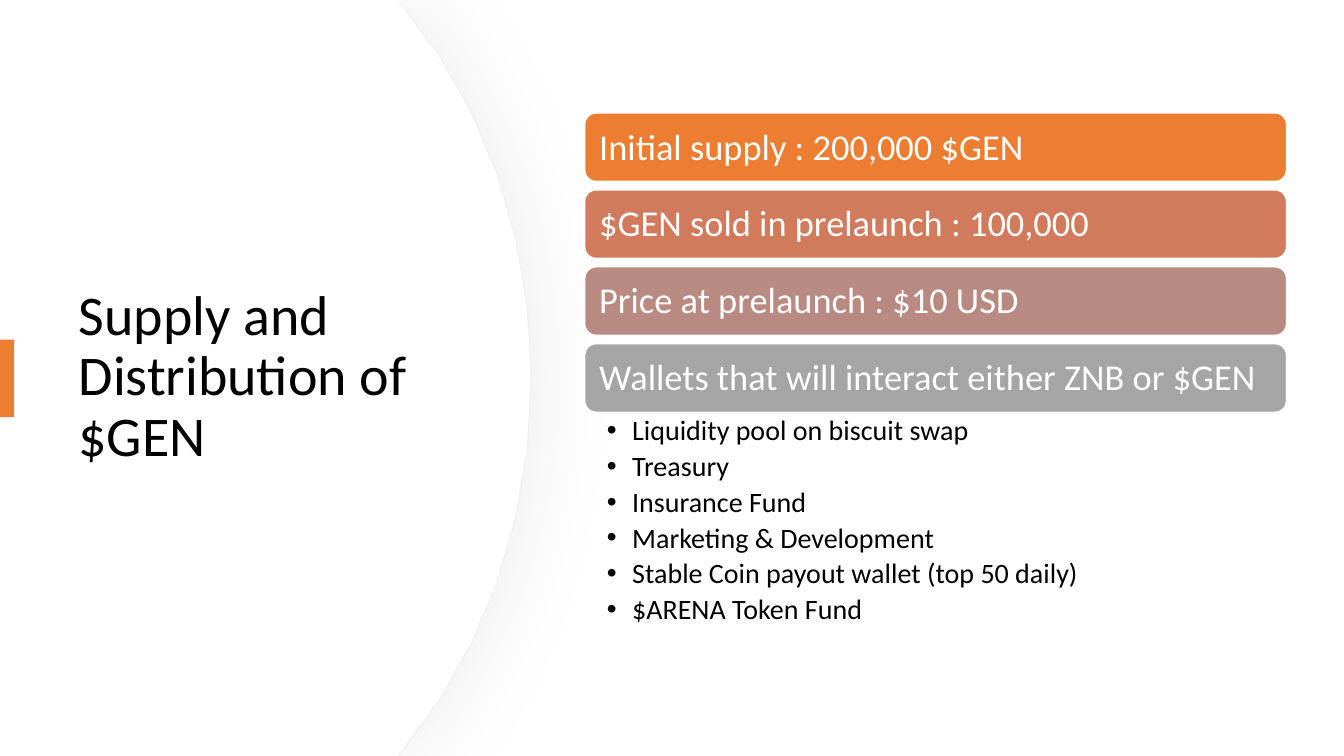
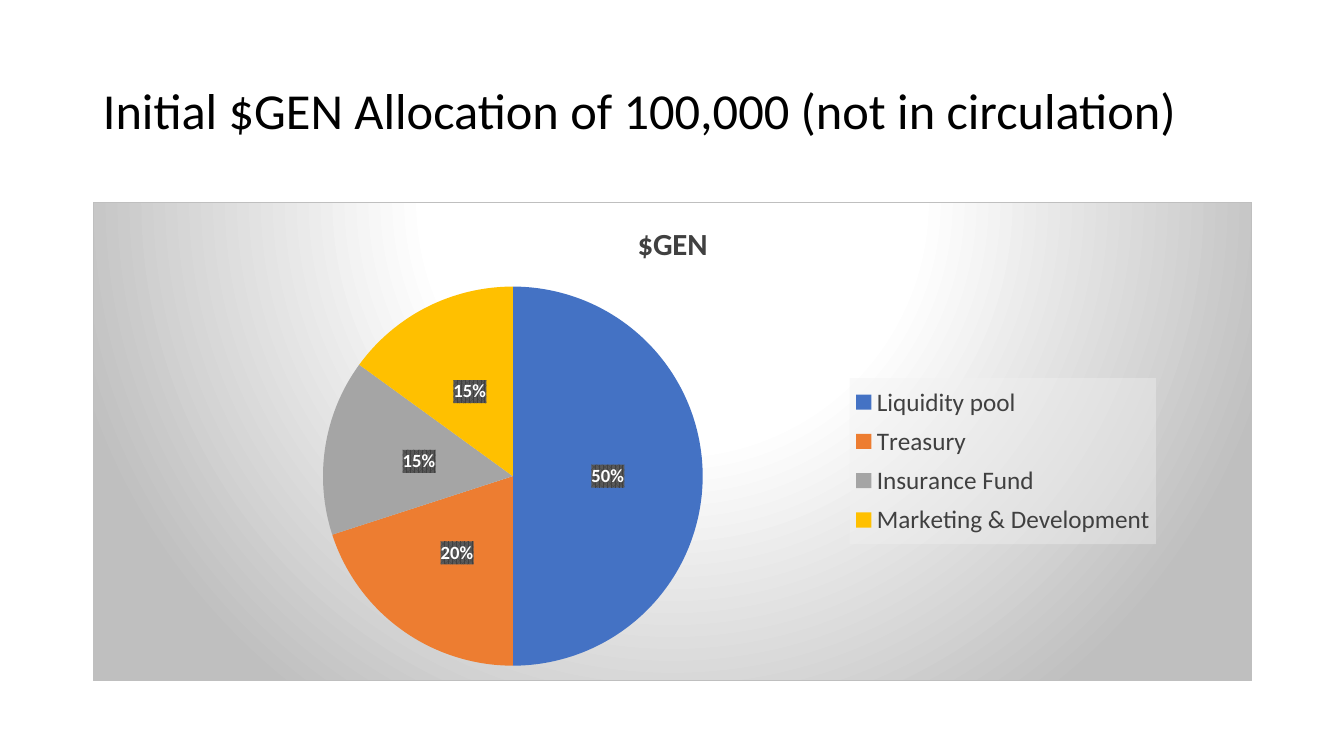
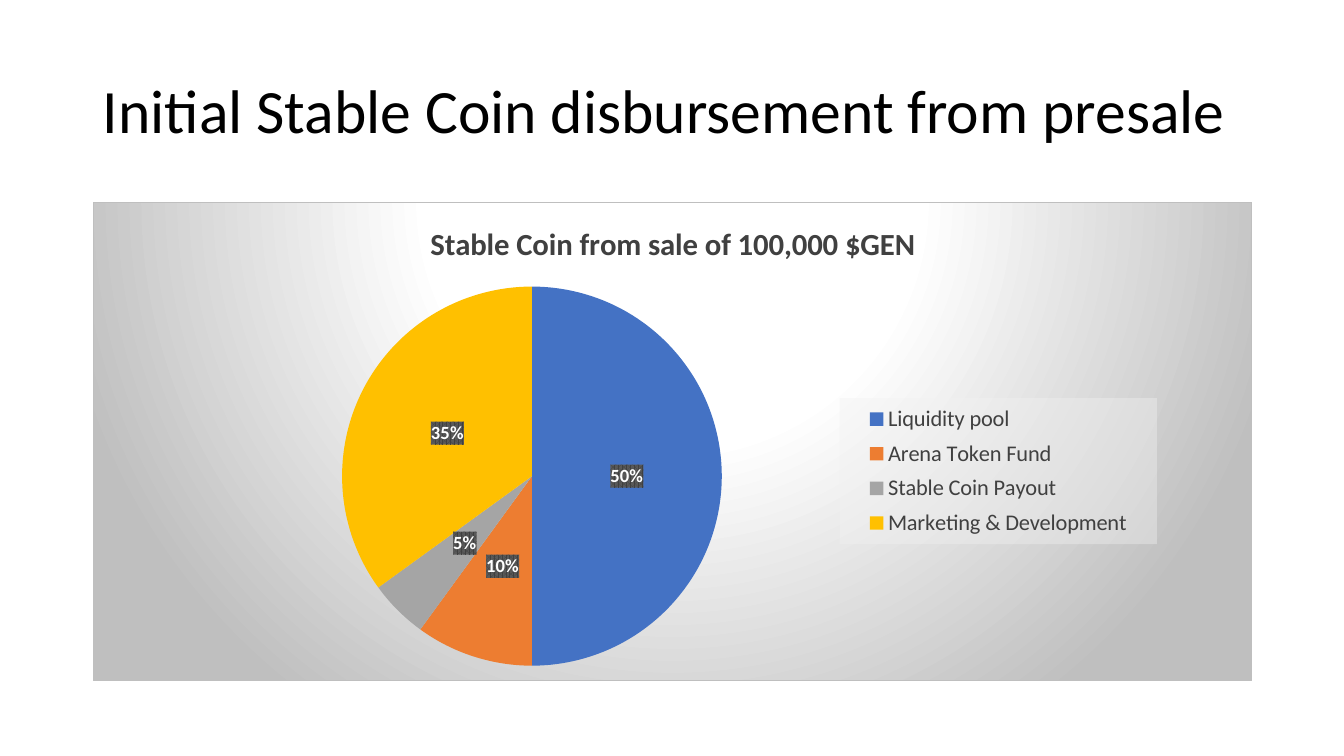
from pptx import Presentation
from pptx.chart.data import CategoryChartData
from pptx.dml.color import RGBColor
from pptx.enum.chart import XL_CHART_TYPE, XL_LABEL_POSITION, XL_LEGEND_POSITION
from pptx.enum.shapes import MSO_SHAPE
from pptx.enum.text import MSO_ANCHOR, MSO_AUTO_SIZE, PP_ALIGN
from pptx.oxml import parse_xml
from pptx.oxml.ns import nsdecls, qn
from pptx.util import Inches, Pt

FONT = "Calibri"
BLACK, WHITE, ORANGE, DARK = "000000", "FFFFFF", "ED7D31", "404040"
SLICE_COLORS = ["4472C4", ORANGE, "A5A5A5", "FFC000"]
CHART_BOX = (0.92, 2, 11.5, 4.76)
HEADING_BOX = (0.92, 0.4, 11.5, 1.45)

CHART_FILL = """<a:gradFill><a:gsLst>
<a:gs pos="0"><a:srgbClr val="FFFFFF"/></a:gs>
<a:gs pos="39000"><a:srgbClr val="FFFFFF"/></a:gs>
<a:gs pos="100000"><a:srgbClr val="BFBFBF"/></a:gs></a:gsLst>
<a:path path="circle"><a:fillToRect l="50000" t="-80000" r="50000" b="180000"/></a:path>
</a:gradFill><a:ln w="9525"><a:solidFill><a:srgbClr val="BFBFBF"/></a:solidFill></a:ln>"""
LEGEND_FILL = """<a:solidFill><a:srgbClr val="F2F2F2"><a:alpha val="39000"/></a:srgbClr>
</a:solidFill><a:ln><a:noFill/></a:ln>"""
LABEL_FILL = """<a:pattFill prst="pct75"><a:fgClr><a:srgbClr val="404040"/></a:fgClr>
<a:bgClr><a:srgbClr val="595959"/></a:bgClr></a:pattFill><a:ln><a:noFill/></a:ln>"""


def rgb(value):
    return RGBColor.from_string(value)


def apply(target, **formats):
    for name, value in formats.items():
        setattr(target, name, value)


def style_font(font, size, color, bold=False):
    apply(font, name=FONT, size=Pt(size), bold=bold)
    font.color.rgb = rgb(color)


def style_shape(shape, fill, line=None, weight=1):
    shape.shadow.inherit = False
    shape.fill.solid()
    shape.fill.fore_color.rgb = rgb(fill)
    if line:
        shape.line.color.rgb = rgb(line)
        shape.line.width = Pt(weight)
    else:
        shape.line.fill.background()


def add_titled_slide(deck, text, box, size):
    slide = deck.slides.add_slide(deck.slide_layouts[5])
    title = slide.shapes.title
    apply(title, **dict(zip(("left", "top", "width", "height"), map(Inches, box))))
    apply(title.text_frame, text=text, word_wrap=True,
          auto_size=MSO_AUTO_SIZE.NONE, vertical_anchor=MSO_ANCHOR.MIDDLE)
    heading = title.text_frame.paragraphs[0]
    apply(heading, alignment=PP_ALIGN.LEFT, line_spacing=0.9)
    style_font(heading.runs[0].font, size, BLACK)
    return slide


def bezier(start, first, second, end, steps=6):
    for step in range(steps + 1):
        t = step / steps
        weights = ((1 - t) ** 3, 3 * t * (1 - t) ** 2, 3 * t * t * (1 - t), t ** 3)
        yield tuple(sum(w * p[axis] for w, p in zip(weights, (start, first, second, end)))
                    for axis in (0, 1))


def add_curved_panel(slide, right, height, line=None):
    upper = [(3.94, 0)] + list(bezier((right - 1.26, 0.08), (right - 0.48, 1.02),
                                      (right, 2.32), (right, height / 2)))
    lower = [(x, height - y) for x, y in reversed(upper[:-1])]
    outline = [(Inches(x), Inches(y)) for x, y in upper + lower + [(0, height)]]
    builder = slide.shapes.build_freeform(0, 0)
    builder.add_line_segments(outline, close=True)
    panel = builder.convert_to_shape()
    style_shape(panel, WHITE, line, 0.75)
    return panel


def add_soft_shadow(shape):
    effects = shape._element.spPr.find(qn("a:effectLst"))
    effects.append(parse_xml(
        f'<a:outerShdw {nsdecls("a")} blurRad="{Pt(50)}" dist="{Pt(7)}" dir="0" '
        'algn="l" rotWithShape="0"><a:srgbClr val="D9D9D9"><a:alpha val="40000"/>'
        '</a:srgbClr></a:outerShdw>'))


def add_fact_bars(slide, box, facts, pitch):
    left, top, width, height = box
    for index, (text, color) in enumerate(facts):
        bar = slide.shapes.add_shape(
            MSO_SHAPE.ROUNDED_RECTANGLE, Inches(left), Inches(top + index * pitch),
            Inches(width), Inches(height))
        style_shape(bar, color, WHITE)
        apply(bar.text_frame, text=text, word_wrap=True, vertical_anchor=MSO_ANCHOR.MIDDLE,
              margin_left=Inches(0.11), margin_right=Inches(0.11), margin_top=Inches(0.07))
        fact = bar.text_frame.paragraphs[0]
        apply(fact, alignment=PP_ALIGN.LEFT, line_spacing=0.9)
        style_font(fact.runs[0].font, 26, WHITE)


def add_wallet_list(slide, box, wallets):
    frame = slide.shapes.add_textbox(*map(Inches, box)).text_frame
    apply(frame, text="\n".join(wallets), word_wrap=True, margin_left=Inches(0.22),
          margin_right=Inches(0.2), margin_top=Inches(0.04), margin_bottom=Inches(0.04))
    for wallet in frame.paragraphs:
        apply(wallet, line_spacing=0.9, space_after=Pt(4))
        style_font(wallet.runs[0].font, 20, BLACK)
        properties = wallet._p.get_or_add_pPr()
        properties.set("marL", str(Inches(0.25)))
        properties.set("indent", str(-Inches(0.25)))
        properties.append(parse_xml(f'<a:buFont {nsdecls("a")} typeface="Arial"/>'))
        properties.append(parse_xml(f'<a:buChar {nsdecls("a")} char="•"/>'))


def set_background(part, fill):
    part.find(qn("c:txPr")).addprevious(
        parse_xml(f'<c:spPr {nsdecls("c", "a")}>{fill}</c:spPr>'))


def manual_layout(box, target=""):
    left, top, width, height = CHART_BOX
    shares = {"x": (box[0] - left) / width, "y": (box[1] - top) / height,
              "w": box[2] / width, "h": box[3] / height}
    values = "".join(f'<c:{key} val="{share:.4f}"/>' for key, share in shares.items())
    return parse_xml(
        f'<c:layout {nsdecls("c")}><c:manualLayout>{target}<c:xMode val="edge"/>'
        f'<c:yMode val="edge"/>{values}</c:manualLayout></c:layout>')


def replace_layout(part, layout, position):
    for previous in part.findall(qn("c:layout")):
        part.remove(previous)
    part.insert(position, layout)


def add_allocation_pie(slide, name, shares, pie_left, legend_box, legend_size):
    data = CategoryChartData()
    data.categories = list(shares)
    data.add_series(name, list(shares.values()))
    chart = slide.shapes.add_chart(
        XL_CHART_TYPE.PIE, *map(Inches, CHART_BOX), data).chart
    style_font(chart.font, 10, BLACK)
    set_background(chart._chartSpace, CHART_FILL)

    apply(chart, has_title=True, has_legend=True)
    chart.chart_title.text_frame.text = name
    style_font(chart.chart_title.text_frame.paragraphs[0].runs[0].font, 22, DARK, True)

    apply(chart.legend, position=XL_LEGEND_POSITION.RIGHT, include_in_layout=False)
    style_font(chart.legend.font, legend_size, DARK)
    set_background(chart.legend._element, LEGEND_FILL)
    replace_layout(chart.legend._element, manual_layout(legend_box), 1)

    plot = chart.plots[0]
    plot.vary_by_categories = True
    series = plot.series[0]
    for index, color in enumerate(SLICE_COLORS):
        fill = series.points[index].format.fill
        fill.solid()
        fill.fore_color.rgb = rgb(color)
    labels = series.data_labels
    apply(labels, show_percentage=True, show_value=False, number_format="0%",
          number_format_is_linked=False, position=XL_LABEL_POSITION.CENTER)
    style_font(labels.font, 13.3, WHITE, True)
    set_background(labels._element, LABEL_FILL)
    replace_layout(plot._element.getparent(),
                   manual_layout((pie_left, 2.84, 3.77, 3.77),
                                 '<c:layoutTarget val="inner"/>'), 0)


def build_supply_slide(deck):
    slide = add_titled_slide(deck, "Supply and Distribution of $GEN",
                             (0.68, 1.27, 3.94, 4.95), 40)
    add_soft_shadow(add_curved_panel(slide, 5.27, 7.5, "EFEFEF"))
    add_curved_panel(slide, 5.26, 7.5)
    title = slide.shapes.title._element
    title.getparent().append(title)
    accent = slide.shapes.add_shape(
        MSO_SHAPE.RECTANGLE, *map(Inches, (0, 3.37, 0.14, 0.77)))
    style_shape(accent, ORANGE)
    add_fact_bars(slide, (5.8, 1.12, 6.96, 0.68), [
        ("Initial supply : 200,000 $GEN", ORANGE),
        ("$GEN sold in prelaunch : 100,000", "D17B5C"),
        ("Price at prelaunch : $10 USD", "B98A82"),
        ("Wallets that will interact either ZNB or $GEN", "A5A5A5"),
    ], pitch=2.29 / 3)
    add_wallet_list(slide, (5.8, 4.09, 6.96, 2.3), [
        "Liquidity pool on biscuit swap", "Treasury", "Insurance Fund",
        "Marketing & Development", "Stable Coin payout wallet (top 50 daily)",
        "$ARENA Token Fund"])


def build_chart_slide(deck, heading, size, **pie):
    slide = add_titled_slide(deck, heading, HEADING_BOX, size)
    add_allocation_pie(slide, **pie)


def main():
    deck = Presentation()
    apply(deck, slide_width=Inches(13.33), slide_height=Inches(7.5))
    build_supply_slide(deck)
    build_chart_slide(
        deck, "Initial $GEN Allocation of 100,000 (not in circulation)", 36,
        name="$GEN",
        shares={"Liquidity pool": 50, "Treasury": 20, "Insurance Fund": 15,
                "Marketing & Development": 15},
        pie_left=3.2, legend_box=(8.43, 3.75, 3.04, 1.65), legend_size=18)
    build_chart_slide(
        deck, "Initial Stable Coin disbursement from presale", 44,
        name="Stable Coin from sale of 100,000 $GEN",
        shares={"Liquidity pool": 50, "Arena Token Fund": 10, "Stable Coin Payout": 5,
                "Marketing & Development": 35},
        pie_left=3.39, legend_box=(8.33, 3.95, 3.15, 1.45), legend_size=16)
    deck.save("out.pptx")


if __name__ == "__main__":
    main()
